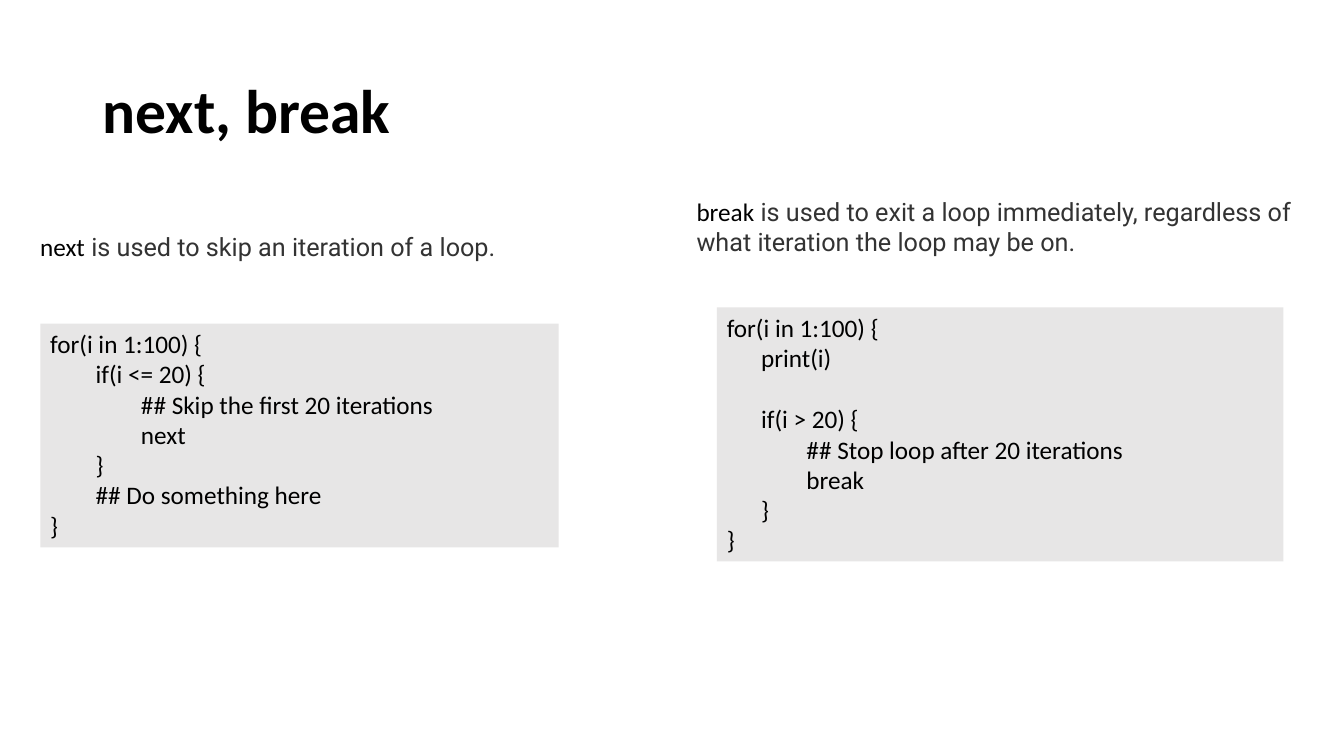
from pptx import Presentation
from pptx.dml.color import RGBColor
from pptx.enum.shapes import MSO_SHAPE as Shape
from pptx.enum.text import MSO_ANCHOR as Anchor, PP_ALIGN as Align
from pptx.util import Inches, Pt

STEP = 0.45
LINE = 22


def color(code):
    """Turn a hex string into a colour."""
    return RGBColor.from_string(code)


def style(font, size, name="Calibri", tint="000000", bold=False):
    """Set size, face, colour and weight of a font."""
    font.size, font.name, font.bold = Pt(size), name, bold
    font.color.rgb = color(tint)


def frame(slide, box, wrap=True):
    """Add a text box and return its text frame."""
    text = slide.shapes.add_textbox(*map(Inches, box)).text_frame
    text.word_wrap = wrap
    return text


def title(slide, box, words):
    """Place the bold heading, centred in height."""
    text = frame(slide, box)
    text.vertical_anchor = Anchor.MIDDLE
    para = text.paragraphs[0]
    para.text, para.line_spacing = words, 0.9
    style(para.font, 44, bold=True)


def intro(slide, box, key, rest, wrap):
    """Place a keyword followed by what it does."""
    para = frame(slide, box, wrap).paragraphs[0]
    for words, name, tint in ((key, "Calibri", "000000"),
                              (rest, "Roboto", "333333")):
        run = para.add_run()
        run.text = words
        style(run.font, 18, name, tint)


def code(slide, box, first, lines):
    """Place a grey panel of code lines: level, words, blank lines above."""
    panel = slide.shapes.add_shape(Shape.RECTANGLE, *map(Inches, box))
    panel.shadow.inherit = False
    panel.fill.solid()
    panel.fill.fore_color.rgb = color("E7E6E6")
    panel.line.fill.background()
    text = panel.text_frame
    text.word_wrap, text.vertical_anchor = True, Anchor.TOP
    for at, (level, words, gap) in enumerate(lines):
        para = text.add_paragraph() if at else text.paragraphs[0]
        para.text, para.alignment = words, Align.LEFT
        para.space_before = Pt(gap * LINE)
        if level:
            indent = Inches(first + (level - 1) * STEP)
            props = para._p.get_or_add_pPr()
            props.set("marL", str(indent))
            props.set("indent", "0")
        style(para.font, 18)


def main():
    """Build the slide and save it."""
    deck = Presentation()
    deck.slide_width, deck.slide_height = Inches(13.33), Inches(7.5)
    slide = deck.slides.add_slide(deck.slide_layouts[6])
    title(slide, (0.92, 0.4, 11.5, 1.45), "next,\u00a0break")
    intro(slide, (0.3, 2.25, 4.81, 0.4), "next",
          "\u00a0is used to skip an iteration of a loop.", False)
    code(slide, (0.4, 3.21, 5.14, 2.22), STEP, [
        (0, "for(i in 1:100) {", 0),
        (1, "if(i <= 20) {", 0),
        (2, "## Skip the first 20 iterations", 0),
        (2, "next", 0),
        (1, "}", 0),
        (1, "## Do something here", 0),
        (0, "}", 0)])
    intro(slide, (6.81, 1.9, 6.22, 0.71), "break",
          "\u00a0is used to exit a loop immediately, regardless of "
          "what iteration the loop may be on.", True)
    code(slide, (7.11, 3.05, 5.62, 2.52), 0.34, [
        (0, "for(i in 1:100) {", 0),
        (1, "print(i)", 0),
        (1, "if(i > 20) {", 1),
        (2, "## Stop loop after 20 iterations", 0),
        (2, "break", 0),
        (1, "}", 0),
        (0, "}", 0)])
    deck.save("out.pptx")


main()
